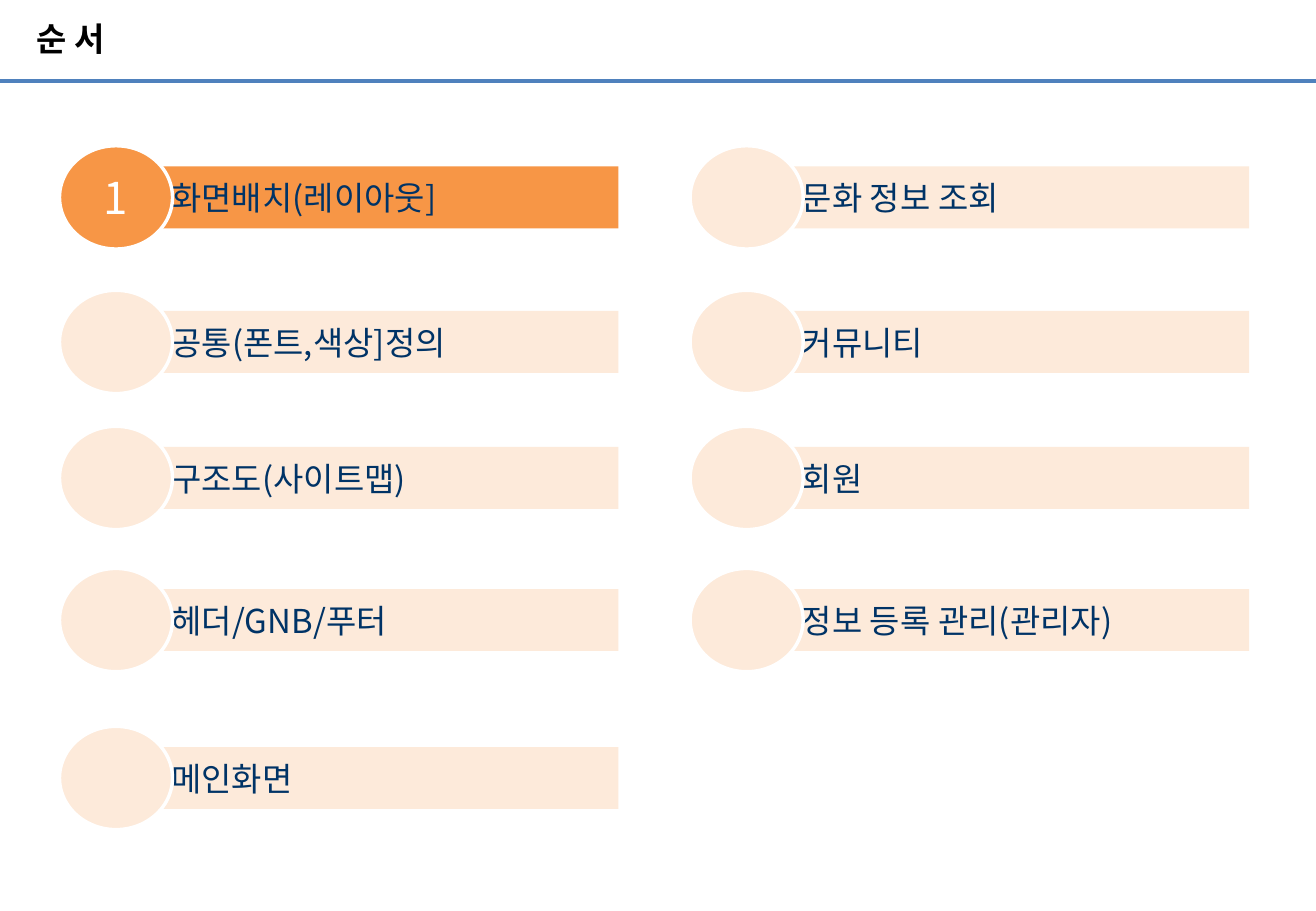
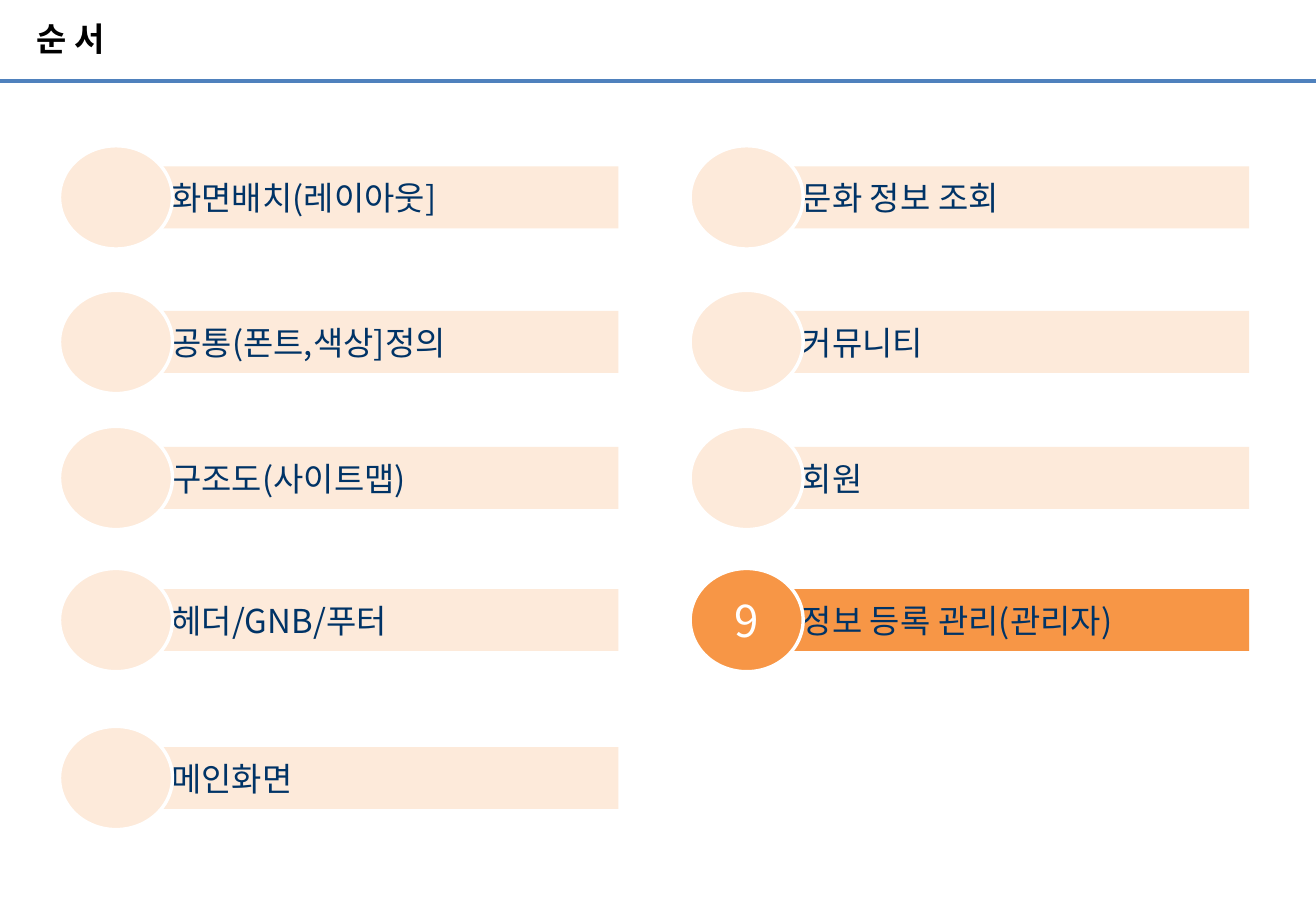
from lxml import etree
from pptx import Presentation
from pptx.dml.color import RGBColor
from pptx.enum.shapes import MSO_CONNECTOR as Link, MSO_SHAPE as Shape
from pptx.enum.text import MSO_ANCHOR as Anchor, MSO_AUTO_SIZE as Fit, PP_ALIGN as Align
from pptx.oxml.ns import qn
from pptx.util import Inches, Pt

BLACK = RGBColor(0x00, 0x00, 0x00)
WHITE = RGBColor(0xFF, 0xFF, 0xFF)
NAVY = RGBColor(0x00, 0x33, 0x66)
BLUE = RGBColor(0x4F, 0x81, 0xBD)
ORANGE = RGBColor(0xF7, 0x96, 0x46)
PEACH = RGBColor(0xFD, 0xEA, 0xDA)

LATIN, HANGUL = "Arial", "Noto Sans CJK KR"
WIDTH, HEIGHT = 10.83, 7.5

ITEMS = [
    "화면배치(레이아웃]", "공통(폰트,색상]정의", "구조도(사이트맵)",
    "헤더/GNB/푸터", "메인화면", "문화 정보 조회",
    "커뮤니티", "회원", "정보 등록 관리(관리자)",
]
COLS = [0.49, 5.68]
ROWS = [1.2, 2.39, 3.51, 4.68, 5.98]
ACTIVE = [1, 9]


def box(x, y, w, h):
    return [Inches(v) for v in (x, y, w, h)]


def write(frame, text, size, color, font=HANGUL, bold=False, align=Align.LEFT, left=0):
    """Fill a text frame with one line, centred vertically."""
    frame.word_wrap = True
    frame.auto_size = Fit.NONE
    frame.vertical_anchor = Anchor.MIDDLE
    frame.margin_left = Inches(left)
    frame.margin_right = frame.margin_top = frame.margin_bottom = 0
    para = frame.paragraphs[0]
    para.alignment = align
    run = para.add_run()
    run.text = text
    run.font.size = Pt(size)
    run.font.bold = bold
    run.font.color.rgb = color
    run.font.name = font
    return para


def add_head(slide, text):
    """Title with the rule that runs below it."""
    rule = slide.shapes.add_connector(
        Link.STRAIGHT, 0, Inches(0.67), Inches(WIDTH), Inches(0.67))
    rule.line.color.rgb = BLUE
    rule.line.width = Pt(2.25)
    etree.SubElement(rule.element.spPr, qn("a:effectLst"))
    title = slide.shapes.title
    title.left, title.top, title.width, title.height = box(0.3, 0, 7.09, 0.68)
    para = write(title.text_frame, text, 19.5, BLACK, LATIN, bold=True)
    para.line_spacing = 0.9


def add_shape(slide, kind, place, fill):
    shape = slide.shapes.add_shape(kind, *box(*place))
    shape.shadow.inherit = False
    shape.fill.solid()
    shape.fill.fore_color.rgb = fill
    shape.line.fill.background()
    return shape


def add_item(slide, num, text, x, y, active):
    """Labelled bar with a disc over its left end, numbered when active."""
    fill = ORANGE if active else PEACH
    bar = add_shape(slide, Shape.RECTANGLE, (x + 0.37, y + 0.17, 4.23, 0.51), fill)
    write(bar.text_frame, text, 19.5, NAVY, left=0.55)
    disc = add_shape(slide, Shape.OVAL, (x, y, 0.93, 0.85), fill)
    disc.line.color.rgb = WHITE
    disc.line.width = Pt(2)
    if active:
        write(disc.text_frame, str(num), 26, WHITE, align=Align.CENTER)


def add_agenda(deck, active):
    slide = deck.slides.add_slide(deck.slide_layouts[5])
    add_head(slide, "순 서")
    for i, text in enumerate(ITEMS):
        col, row = divmod(i, len(ROWS))
        add_item(slide, i + 1, text, COLS[col], ROWS[row], i + 1 == active)


def main():
    deck = Presentation()
    deck.slide_width, deck.slide_height = Inches(WIDTH), Inches(HEIGHT)
    for active in ACTIVE:
        add_agenda(deck, active)
    deck.save("out.pptx")


if __name__ == "__main__":
    main()
